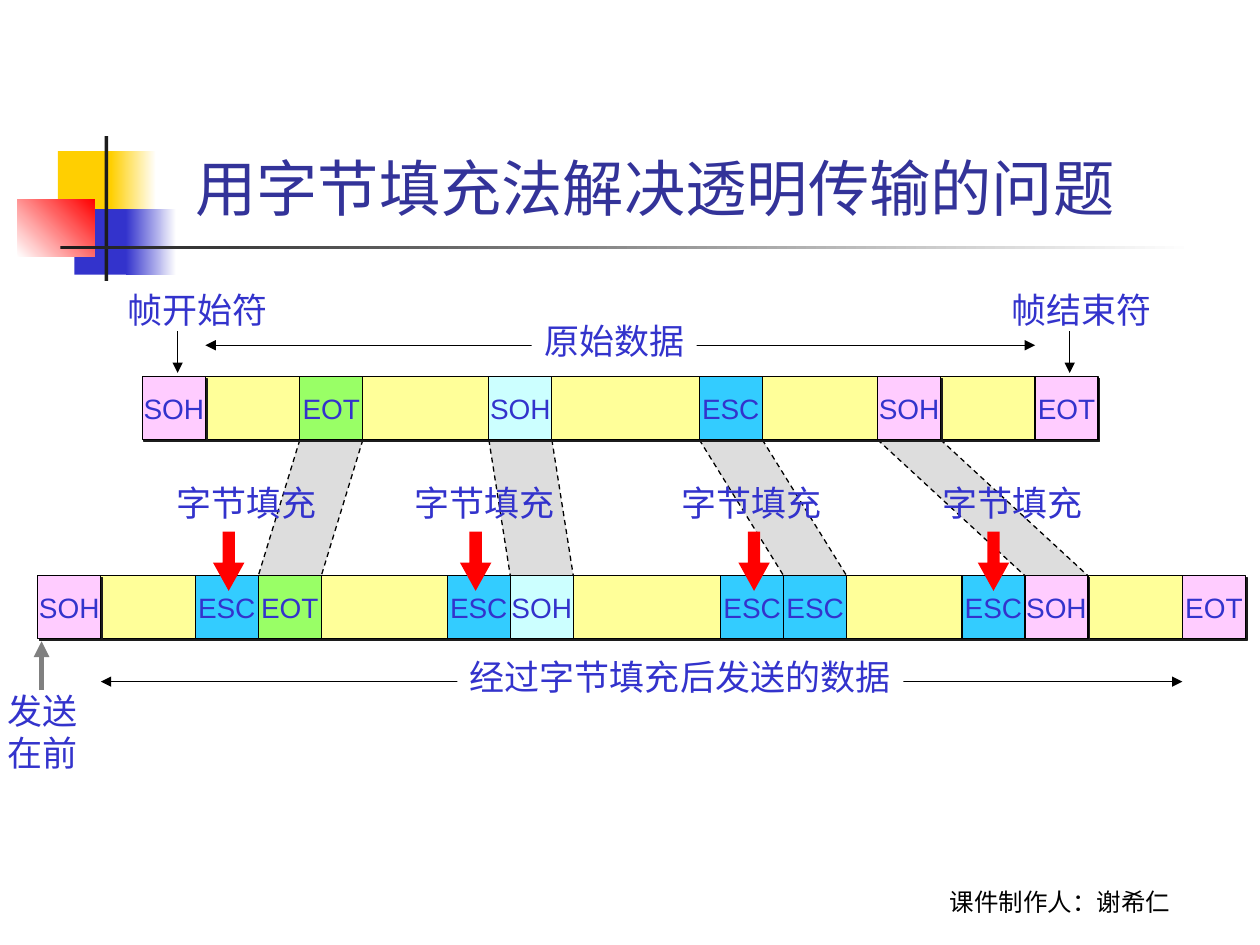
from dataclasses import dataclass
from itertools import accumulate

import pptx
import pptx.dml.color
import pptx.enum.dml
import pptx.enum.shapes
import pptx.enum.text
import pptx.oxml
import pptx.oxml.ns
import pptx.shapes.autoshape
import pptx.shapes.shapetree
import pptx.slide
import pptx.text.text
import pptx.util
from lxml import etree

RGBColor = pptx.dml.color.RGBColor
Align = pptx.enum.text.PP_ALIGN
Anchor = pptx.enum.text.MSO_ANCHOR
Preset = pptx.enum.shapes.MSO_SHAPE
qn = pptx.oxml.ns.qn

BLACK = RGBColor(0x00, 0x00, 0x00)
WHITE = RGBColor(0xFF, 0xFF, 0xFF)
CHARCOAL = RGBColor(0x1C, 0x1C, 0x1C)
GREY = RGBColor(0x80, 0x80, 0x80)
BAND_GREY = RGBColor(0xDD, 0xDD, 0xDD)
GOLD = RGBColor(0xFF, 0xCF, 0x01)
RED = RGBColor(0xFF, 0x00, 0x00)
BLUE = RGBColor(0x33, 0x33, 0xCC)
TITLE_BLUE = RGBColor(0x33, 0x33, 0x99)
PINK = RGBColor(0xFF, 0xCC, 0xFF)
YELLOW = RGBColor(0xFF, 0xFF, 0x99)
GREEN = RGBColor(0x99, 0xFF, 0x66)
CYAN = RGBColor(0xCC, 0xFF, 0xFF)
SKY = RGBColor(0x33, 0xCC, 0xFF)

# The grid has 20 columns and 15 rows; one byte fills one square.
SQUARE = pptx.util.Inches(0.5)
ORIGINAL_LEFT, ORIGINAL_TOP = 2.26, 5.98
STUFFED_LEFT, STUFFED_TOP = 0.6, 9.14
DATA_WIDTHS = (1.5, 2, 2.34, 1.83, 1.5)


@dataclass(frozen=True)
class Box:
    left: float
    top: float
    width: float
    height: float

    def lengths(self) -> list[int]:
        return [grid(n) for n in (self.left, self.top, self.width, self.height)]


@dataclass(frozen=True)
class Byte:
    label: str
    fill: RGBColor
    has_shadow: bool = False


@dataclass(frozen=True)
class Block:
    """A decoration; with an end colour it fades along the angle."""
    box: Box
    color: RGBColor
    end_color: RGBColor | None = None
    angle: int = 0


@dataclass(frozen=True)
class Stuffing:
    label_left: float
    arrow_left: float


FRAME_START = Byte("SOH", PINK, True)
FRAME_END = Byte("EOT", PINK, True)
ESCAPE = Byte("ESC", SKY)
CONTROL_BYTES = (Byte("EOT", GREEN), Byte("SOH", CYAN), ESCAPE, FRAME_START)
STUFFINGS = (Stuffing(2.6, 3.38), Stuffing(6.38, 7.3),
             Stuffing(10.62, 11.72), Stuffing(14.76, 15.52))
DECORATION = (
    Block(Box(0.92, 2.4, 0.96, 1.04), GOLD),
    Block(Box(1.76, 2.4, 0.72, 1.04), GOLD, WHITE),
    Block(Box(1.18, 3.32, 0.92, 1.04), BLUE),
    Block(Box(2, 3.32, 0.8, 1.04), BLUE, WHITE),
    Block(Box(0.28, 3.16, 1.22, 0.92), WHITE, RED, 45),
    Block(Box(1.66, 2.16, 0.06, 2.3), CHARCOAL),
    Block(Box(0.96, 3.9, 18, 0.06), CHARCOAL, WHITE),
)


def grid(squares: float) -> int:
    return round(squares * SQUARE)


def write_text(frame: pptx.text.text.TextFrame, text: str, *, size: float = 20,
               color: RGBColor = BLUE, font: str = "Arial", align: Align = Align.LEFT,
               anchor: Anchor = Anchor.TOP, wrap: bool = False) -> None:
    frame.text = text
    frame.word_wrap = wrap
    frame.auto_size = pptx.enum.text.MSO_AUTO_SIZE.NONE
    frame.vertical_anchor = anchor
    for paragraph in frame.paragraphs:
        paragraph.alignment = align
        paragraph.font.size = pptx.util.Pt(size)
        paragraph.font.name = font
        paragraph.font.color.rgb = color


def add_block(shapes: pptx.shapes.shapetree.SlideShapes, box: Box, fill: RGBColor,
              preset: Preset = Preset.RECTANGLE, outlined: bool = False,
              has_shadow: bool = False) -> pptx.shapes.autoshape.Shape:
    shape = shapes.add_shape(preset, *box.lengths())
    shape.fill.solid()
    shape.fill.fore_color.rgb = fill
    if outlined:
        shape.line.color.rgb = BLACK
        shape.line.width = pptx.util.Pt(0.75)
    else:
        shape.line.fill.background()
    shape.shadow.inherit = False
    if has_shadow:
        effects = shape.element.spPr.find(qn("a:effectLst"))
        shadow = etree.SubElement(effects, qn("a:outerShdw"), dist="17780", dir="2700000")
        etree.SubElement(shadow, qn("a:srgbClr"), val=str(CHARCOAL))
    return shape


def add_decoration(shapes: pptx.shapes.shapetree.SlideShapes, block: Block) -> None:
    shape = add_block(shapes, block.box, block.color)
    if block.end_color is not None:
        shape.fill.gradient()
        shape.fill.gradient_angle = block.angle
        for stop, color in zip(shape.fill.gradient_stops, (block.color, block.end_color)):
            stop.color.rgb = color


def add_label(shapes: pptx.shapes.shapetree.SlideShapes, box: Box, text: str,
              fill: RGBColor | None = None, **text_format) -> None:
    text_box = shapes.add_textbox(*box.lengths())
    if fill is not None:
        text_box.fill.solid()
        text_box.fill.fore_color.rgb = fill
    write_text(text_box.text_frame, text, **text_format)


def add_line(shapes: pptx.shapes.shapetree.SlideShapes, start: tuple[float, float],
             end: tuple[float, float], *, color: RGBColor = BLACK, width: float = 0.75,
             dashed: bool = False, arrows: tuple[str, ...] = ()) -> None:
    """Draw a straight line; arrows lists "headEnd" (start) and "tailEnd" (end)."""
    line = shapes.add_connector(pptx.enum.shapes.MSO_CONNECTOR.STRAIGHT,
                                *(grid(n) for n in start + end))
    line.line.color.rgb = color
    line.line.width = pptx.util.Pt(width)
    if dashed:
        line.line.dash_style = pptx.enum.dml.MSO_LINE.DASH
    properties = line.element.spPr
    for arrow in arrows:
        etree.SubElement(properties.find(qn("a:ln")), qn(f"a:{arrow}"), type="triangle")
    etree.SubElement(properties, qn("a:effectLst"))


def control_lefts(frame_left: float, group_size: int) -> list[float]:
    """Left edges of the groups of control bytes, then of the closing byte."""
    first = frame_left + 1 + DATA_WIDTHS[0]
    return list(accumulate((group_size + width for width in DATA_WIDTHS[1:]), initial=first))


def add_frame(shapes: pptx.shapes.shapetree.SlideShapes, left: float, top: float,
              stuffed: bool) -> None:
    groups = [(ESCAPE, byte) if stuffed else (byte,) for byte in CONTROL_BYTES]
    lefts = control_lefts(left, len(groups[0]))
    data_left = left + 1
    placed = [(left, FRAME_START)]
    for group_left, group in zip(lefts, groups):
        placed += [(group_left + offset, byte) for offset, byte in enumerate(group)]
    placed.append((lefts[-1], FRAME_END))
    add_block(shapes, Box(data_left, top, lefts[-1] - data_left, 1), YELLOW,
              outlined=True, has_shadow=True)
    for byte_left, byte in placed:
        shape = add_block(shapes, Box(byte_left, top, 1, 1), byte.fill,
                          outlined=True, has_shadow=byte.has_shadow)
        write_text(shape.text_frame, byte.label, size=16, align=Align.CENTER,
                   anchor=Anchor.MIDDLE)


def add_band(shapes: pptx.shapes.shapetree.SlideShapes, upper: float, lower: float) -> None:
    """Join a byte of the original frame to its place in the stuffed frame."""
    top, bottom = ORIGINAL_TOP + 1, STUFFED_TOP
    corners = [(upper, top), (upper + 1, top), (lower + 1, bottom), (lower, bottom)]
    points = [(grid(x), grid(y)) for x, y in corners]
    builder = shapes.build_freeform(*points[0])
    builder.add_line_segments(points[1:])
    band = builder.convert_to_shape()
    band.fill.solid()
    band.fill.fore_color.rgb = BAND_GREY
    band.line.fill.background()
    band.shadow.inherit = False
    for side in (0, 1):
        add_line(shapes, (upper + side, top), (lower + side, bottom), dashed=True)


def build_slide(slide: pptx.slide.Slide) -> None:
    shapes = slide.shapes
    for block in DECORATION:
        add_decoration(shapes, block)
    title = shapes.title
    title.left, title.top, title.width, title.height = Box(2.52, 0.46, 15.98, 3.2).lengths()
    write_text(title.text_frame, "用字节填充法解决透明传输的问题 ", size=35, color=TITLE_BLUE,
               align=Align.CENTER, anchor=Anchor.BOTTOM, wrap=True)
    add_label(shapes, Box(13.66, 13.64, 6.34, 1), "课件制作人：谢希仁", size=14, color=BLACK,
              font="Lato", align=Align.CENTER, anchor=Anchor.BOTTOM, wrap=True)

    original_lefts = control_lefts(ORIGINAL_LEFT, 1)
    stuffed_lefts = control_lefts(STUFFED_LEFT, 2)
    for upper, lower in zip(original_lefts[:-1], stuffed_lefts):
        add_band(shapes, upper, lower + 1)
    add_frame(shapes, ORIGINAL_LEFT, ORIGINAL_TOP, stuffed=False)
    add_frame(shapes, STUFFED_LEFT, STUFFED_TOP, stuffed=True)

    both = ("headEnd", "tailEnd")
    add_line(shapes, (ORIGINAL_LEFT + 1, 5.48), (original_lefts[-1], 5.48), arrows=both)
    add_label(shapes, Box(8.44, 4.98, 2.62, 0.88), "原始数据", WHITE)
    add_line(shapes, (STUFFED_LEFT + 1, 10.82), (stuffed_lefts[-1], 10.82), arrows=both)
    add_label(shapes, Box(7.26, 10.3, 7.08, 0.88), "经过字节填充后发送的数据", WHITE)

    for stuffing in STUFFINGS:
        add_label(shapes, Box(stuffing.label_left, 7.54, 2.62, 0.88), "字节填充")
        arrow = add_block(shapes, Box(stuffing.arrow_left, 8.44, 0.5, 0.94), RED,
                          Preset.DOWN_ARROW)
        arrow.adjustments[0], arrow.adjustments[1] = 0.39, 0.9
    for text, label_left, arrow_x in (("帧开始符", 1.82, 2.82), ("帧结束符", 15.86, 16.98)):
        add_label(shapes, Box(label_left, 4.48, 2.62, 0.88), text)
        add_line(shapes, (arrow_x, 5.26), (arrow_x, 5.92), arrows=("tailEnd",))
    add_line(shapes, (0.66, 10.96), (0.66, 10.18), color=GREY, width=3, arrows=("tailEnd",))
    add_label(shapes, Box(-0.08, 10.84, 1.5, 1.54), "发送\n在前")


def main() -> None:
    presentation = pptx.Presentation()
    presentation.slide_width, presentation.slide_height = grid(20), grid(15)
    build_slide(presentation.slides.add_slide(presentation.slide_layouts[5]))
    presentation.save("out.pptx")


if __name__ == "__main__":
    main()
